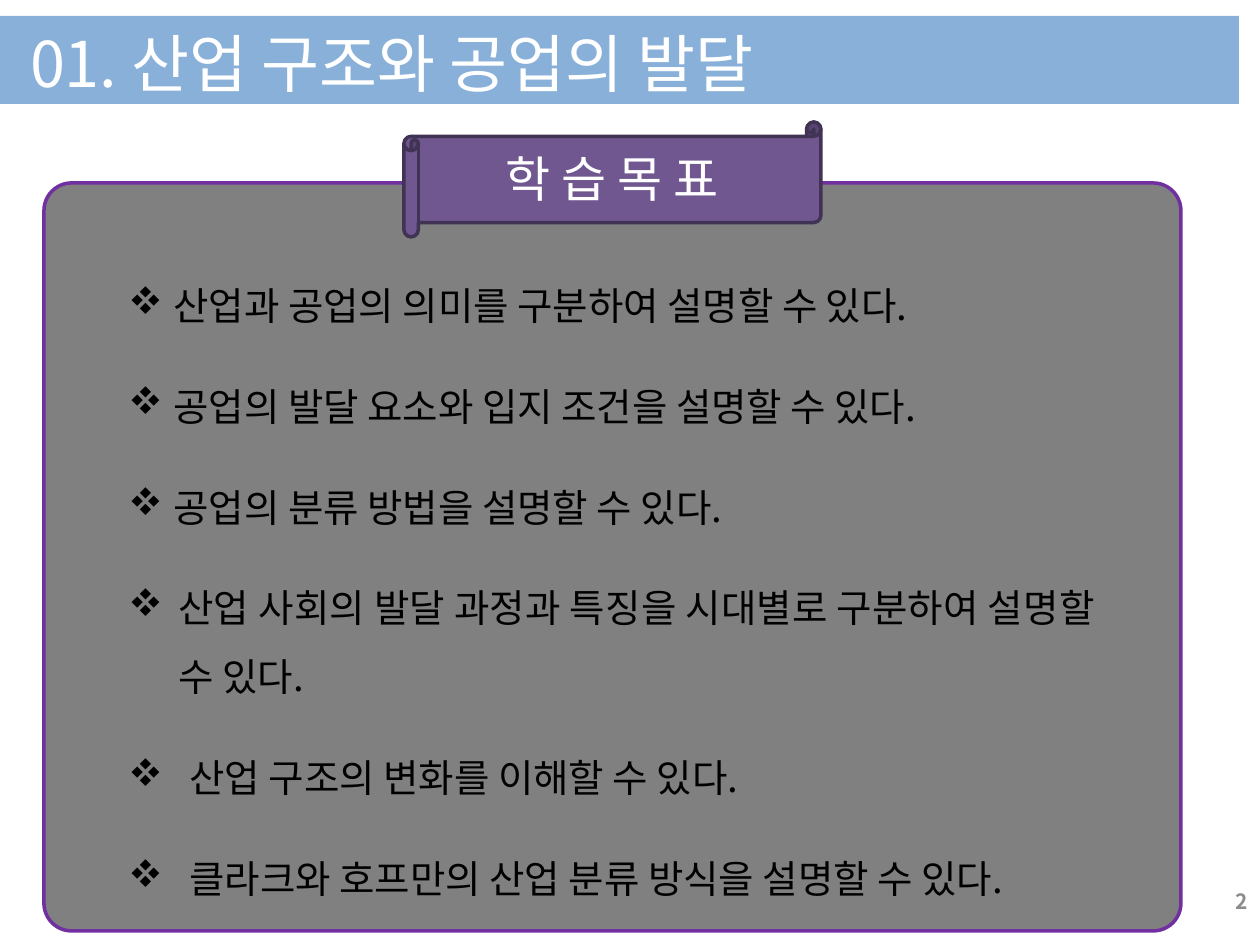
from lxml import etree
from pptx import Presentation, util as u
from pptx.dml.color import RGBColor
from pptx.enum import shapes, text
from pptx.oxml import ns

PX = 914400 // 126
FONT = "Noto Sans CJK KR"
WHITE = RGBColor(0xFF, 0xFF, 0xFF)
BLACK = RGBColor(0x00, 0x00, 0x00)
BLUE = RGBColor(0x88, 0xB0, 0xD8)
GRAY = RGBColor(0x80, 0x80, 0x80)
PALE_GRAY = RGBColor(0x8C, 0x8C, 0x8C)
VIOLET = RGBColor(0x70, 0x30, 0xA0)
PURPLE = RGBColor(0x70, 0x57, 0x8F)
DARK_PURPLE = RGBColor(0x41, 0x33, 0x53)

# Goal text and the distance in px from its bullet to its first letter
GOALS = [
    ("산업과 공업의 의미를 구분하여 설명할 수 있다.", 45),
    ("공업의 발달 요소와 입지 조건을 설명할 수 있다.", 45),
    ("공업의 분류 방법을 설명할 수 있다.", 45),
    ("산업 사회의 발달 과정과 특징을 시대별로 구분하여 설명할 수 있다.", 50),
    ("산업 구조의 변화를 이해할 수 있다.", 61),
    ("클라크와 호프만의 산업 분류 방식을 설명할 수 있다.", 61),
]


def add_panel(parent, kind, box, fill, line=None):
    shape = parent.add_shape(kind, *(n * PX for n in box))
    shape.shadow.inherit = False
    shape.fill.solid()
    shape.fill.fore_color.rgb = fill
    if line is None:
        shape.line.fill.background()
    else:
        shape.line.color.rgb = line
        shape.line.width = u.Pt(2)
    return shape


def write(paragraph, words, size, color, align=text.PP_ALIGN.LEFT):
    """Fill a paragraph, naming the font for Latin and Korean letters alike."""
    paragraph.text = words
    paragraph.alignment = align
    paragraph.font.name = FONT
    paragraph.font.size = u.Pt(size)
    paragraph.font.color.rgb = color
    for run in paragraph.runs:
        properties = run._r.get_or_add_rPr()
        etree.SubElement(properties, ns.qn("a:ea"), typeface=FONT)


presentation = Presentation()
presentation.slide_width = 1260 * PX
presentation.slide_height = 945 * PX
slide = presentation.slides.add_slide(presentation.slide_layouts[6])

add_panel(slide.shapes, shapes.MSO_SHAPE.RECTANGLE, (0, 16, 1239, 88), BLUE)
panel = add_panel(slide.shapes, shapes.MSO_SHAPE.ROUNDED_RECTANGLE,
                  (44, 183, 1137, 748), GRAY, VIOLET)
panel.adjustments[0] = 0.037

goals = slide.shapes.add_textbox(116 * PX, 253 * PX, 992 * PX, 655 * PX)
frame = goals.text_frame
frame.word_wrap = True
for index, (goal, indent) in enumerate(GOALS):
    paragraph = frame.add_paragraph() if index else frame.paragraphs[0]
    properties = paragraph._p.get_or_add_pPr()
    properties.set("marL", str(indent * PX))
    properties.set("indent", str(-indent * PX))
    etree.SubElement(properties, ns.qn("a:buFont"), typeface="Wingdings")
    etree.SubElement(properties, ns.qn("a:buChar"), char="v")
    write(paragraph, goal, 22, BLACK, text.PP_ALIGN.JUSTIFY)
    paragraph.line_spacing = u.Pt(39.4)
    if index:
        paragraph.space_before = u.Pt(18.2)

title = slide.shapes.add_textbox(0, 1 * PX, 1017 * PX, 100 * PX)
frame = title.text_frame
frame.word_wrap = True
frame.margin_left, frame.margin_top = 30 * PX, 24 * PX
frame.margin_right = frame.margin_bottom = 0
write(frame.paragraphs[0], "01. 산업 구조와 공업의 발달", 36, WHITE)

banner = slide.shapes.add_group_shape()
add_panel(banner.shapes, shapes.MSO_SHAPE.HORIZONTAL_SCROLL,
          (404, 122, 417, 115), PURPLE, DARK_PURPLE)
heading = banner.shapes.add_textbox(387 * PX, 142 * PX, 451 * PX, 72 * PX)
heading.text_frame.word_wrap = True
write(heading.text_frame.paragraphs[0], "학 습 목 표", 28, WHITE, text.PP_ALIGN.CENTER)

number = slide.shapes.add_textbox(966 * PX, 876 * PX, 294 * PX, 50 * PX)
number.text_frame.word_wrap = True
number.text_frame.vertical_anchor = text.MSO_ANCHOR.MIDDLE
write(number.text_frame.paragraphs[0], "2", 12, PALE_GRAY, text.PP_ALIGN.RIGHT)
number.text_frame.paragraphs[0].font.bold = True

presentation.save("out.pptx")
